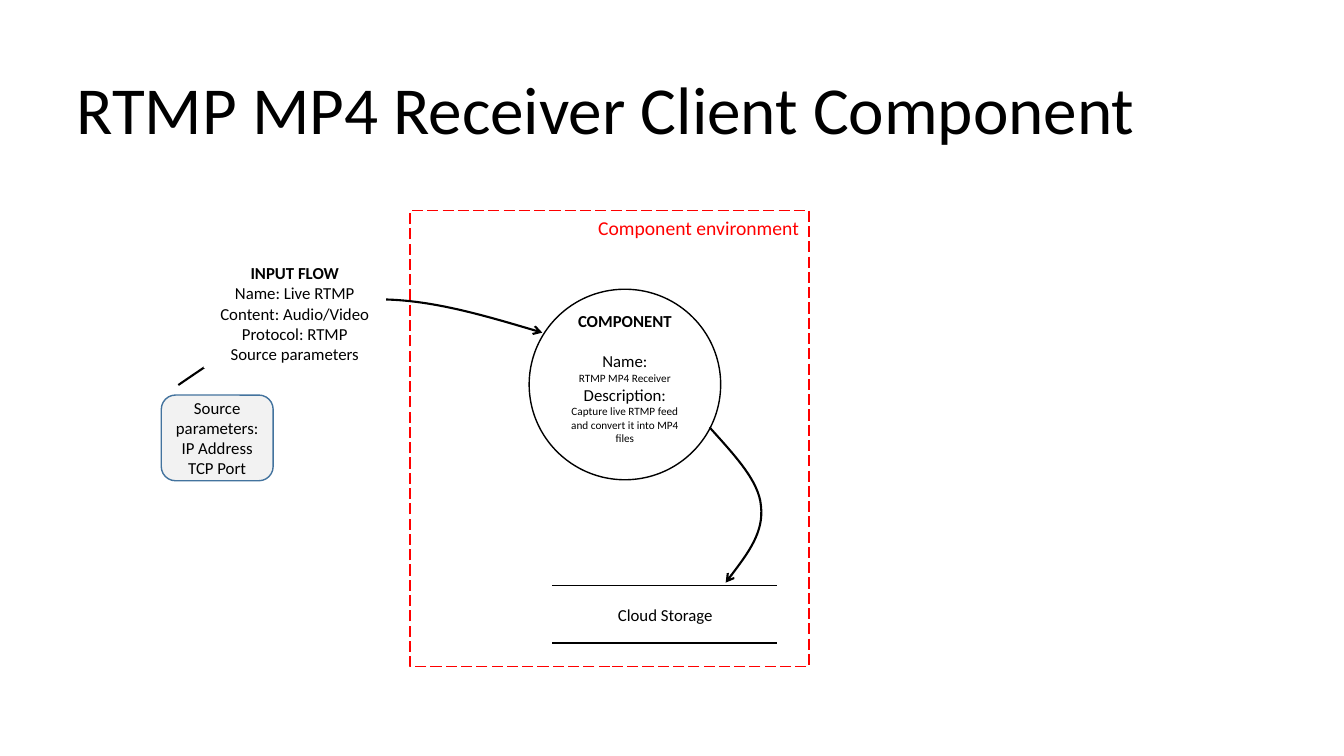
from lxml.etree import SubElement
from pptx import Presentation
from pptx.dml.color import RGBColor
from pptx.enum.dml import MSO_LINE
from pptx.enum.shapes import MSO_CONNECTOR, MSO_SHAPE
from pptx.enum.text import MSO_ANCHOR, PP_ALIGN
from pptx.oxml.ns import qn
from pptx.util import Pt

BLACK = RGBColor(0, 0, 0)
WHITE = RGBColor(255, 255, 255)
RED = RGBColor(255, 0, 0)
GREY = RGBColor(0xF2, 0xF2, 0xF2)
BLUE = RGBColor(0x43, 0x73, 0x9E)


class Board:
    font = "Calibri"

    def __init__(self, slide):
        self.slide = slide
        self.shapes = slide.shapes

    def text(self, shape, rows, align=PP_ALIGN.CENTER, anchor=MSO_ANCHOR.MIDDLE, color=BLACK):
        """Write one paragraph per row; a row is (words, size, bold)."""
        frame = shape.text_frame
        frame.word_wrap = True
        frame.vertical_anchor = anchor
        for i, (words, size, bold) in enumerate(rows):
            para = frame.add_paragraph() if i else frame.paragraphs[0]
            para.alignment = align
            run = para.add_run()
            run.text = words
            run.font.name = self.font
            run.font.size = Pt(size)
            run.font.bold = bold
            run.font.color.rgb = color
        return frame

    def title(self, box, words):
        shape = self.shapes.add_textbox(*map(Pt, box))
        frame = self.text(shape, [(words, 48, False)], PP_ALIGN.LEFT, MSO_ANCHOR.BOTTOM)
        frame.paragraphs[0].line_spacing = 0.9

    def block(self, kind, box, rows, fill=WHITE, line=None, **style):
        shape = self.shapes.add_shape(kind, *map(Pt, box))
        shape.shadow.inherit = False
        shape.fill.solid()
        shape.fill.fore_color.rgb = fill
        if line is None:
            shape.line.fill.background()
        else:
            shape.line.color.rgb = line
            shape.line.width = Pt(1)
        self.text(shape, rows, **style)
        return shape

    def rule(self, left, right, y):
        line = self.shapes.add_connector(
            MSO_CONNECTOR.STRAIGHT, Pt(left), Pt(y), Pt(right), Pt(y))
        line.line.color.rgb = BLACK
        line.line.width = Pt(1)
        SubElement(line.element.spPr, qn("a:effectLst"))

    def curve(self, start, *points):
        """Draw an arrow of Bezier arcs, three points to an arc."""
        build = self.shapes.build_freeform(*map(Pt, start), scale=1.0)
        build.add_line_segments([(Pt(x), Pt(y)) for x, y in points], close=False)
        shape = build.convert_to_shape()
        shape.shadow.inherit = False
        shape.fill.background()
        shape.line.color.rgb = BLACK
        shape.line.width = Pt(1.5)
        props = shape.element.spPr
        SubElement(props.find(qn("a:ln")), qn("a:tailEnd"), type="arrow")
        track = next(props.iter(qn("a:path")))
        for i, step in enumerate(track.findall(qn("a:lnTo"))):
            if i % 3 == 0:
                arc = SubElement(track, qn("a:cubicBezTo"))
            arc.append(step[0])
            track.remove(step)


def main():
    deck = Presentation()
    deck.slide_width, deck.slide_height = Pt(960), Pt(540)
    board = Board(deck.slides.add_slide(deck.slide_layouts[6]))

    zone = board.block(MSO_SHAPE.RECTANGLE, (293, 150.5, 285, 325.5),
                       [("Component environment", 14, False)], line=RED,
                       align=PP_ALIGN.RIGHT, anchor=MSO_ANCHOR.TOP, color=RED)
    zone.line.dash_style = MSO_LINE.LONG_DASH
    board.title((47.5, 27.4, 861.8, 82.8), "RTMP MP4 Receiver Client Component")

    part = board.block(MSO_SHAPE.OVAL, (378, 206.6, 136.8, 136.1), [
        ("COMPONENT", 12, True),
        ("Name:", 12, False),
        ("RTMP MP4 Receiver", 8, False),
        ("Description:", 12, False),
        ("Capture live RTMP feed and convert it into MP4 files", 8, False),
    ], line=BLACK)
    part.text_frame.paragraphs[0].space_after = Pt(14.6)
    part.text_frame.margin_bottom = Pt(13.4)

    board.curve((127.4, 275), (166.3, 248.4), (205.2, 221.8), (248.4, 215.3),
                (291.6, 209.5), (339.1, 223.2), (387.4, 237.6))
    flow = ["Name: Live RTMP", "Content: Audio/Video", "Protocol: RTMP", "Source parameters"]
    board.block(MSO_SHAPE.RECTANGLE, (145.4, 184.3, 130.3, 78.5),
                [("INPUT FLOW", 12, True)] + [(words, 12, False) for words in flow],
                anchor=MSO_ANCHOR.TOP)

    board.block(MSO_SHAPE.RECTANGLE, (398.9, 413.3, 152.6, 51.1),
                [("Cloud Storage", 12, False)])
    for y in (418.3, 459.4):
        board.rule(394.6, 555.1, y)
    board.curve((506.9, 305.3), (524.2, 324.7), (542.2, 343.4), (543.6, 361.4),
                (545.8, 380.2), (532.1, 398.2), (518.4, 416.2))

    source = ["Source parameters:", "IP Address", "TCP Port"]
    board.block(MSO_SHAPE.ROUNDED_RECTANGLE, (115.2, 282.2, 79.9, 61.2),
                [(words, 12, False) for words in source], fill=GREY, line=BLUE)
    deck.save("out.pptx")


if __name__ == "__main__":
    main()
